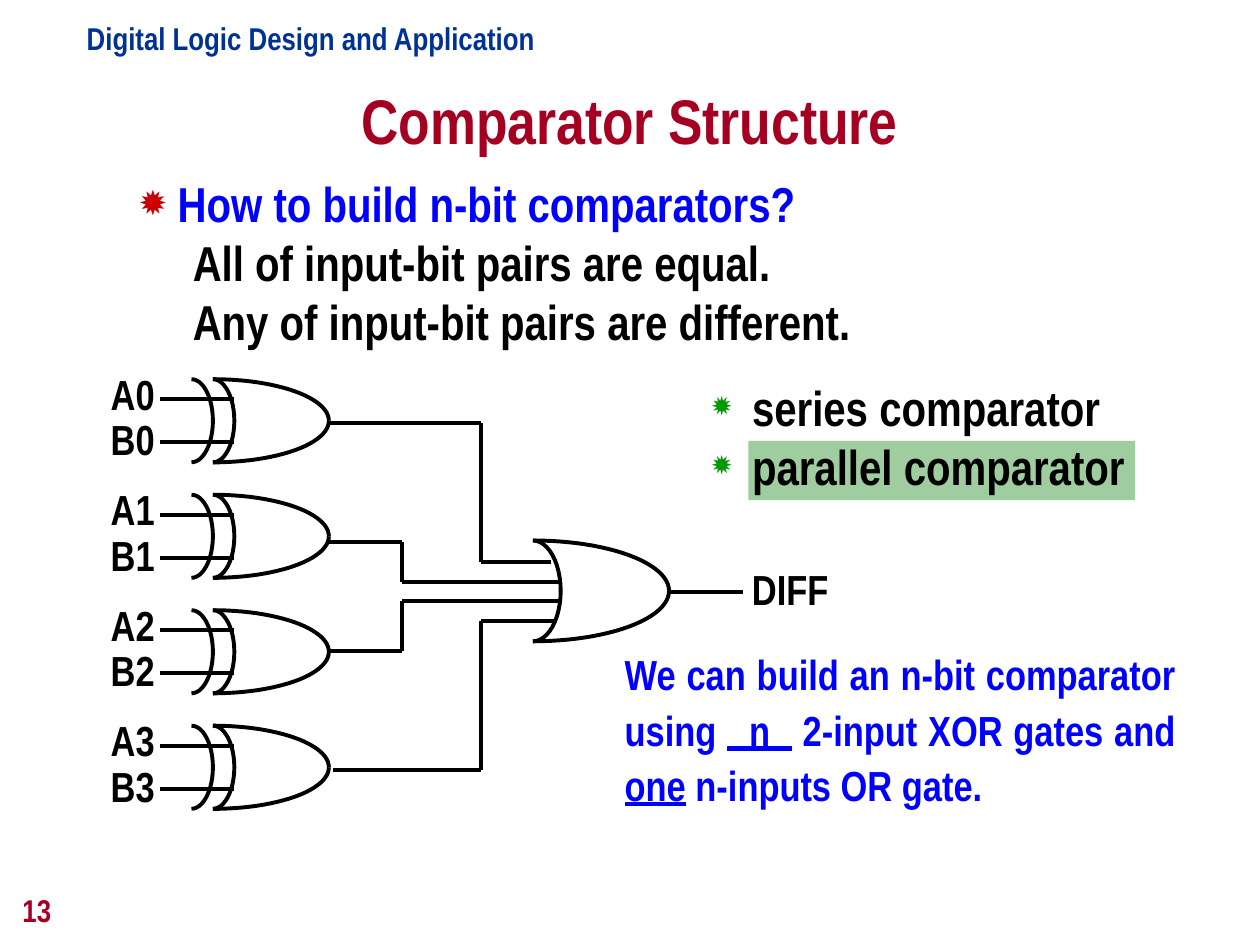
"""Build the slide that explains the structure of an n-bit parallel comparator."""
from dataclasses import dataclass
from itertools import pairwise
from math import cos, pi, sin
from typing import NamedTuple

from lxml.etree import SubElement
from pptx import Presentation
from pptx.dml.color import RGBColor
from pptx.enum.shapes import MSO_CONNECTOR as Connector, MSO_SHAPE as Preset
from pptx.enum.text import MSO_ANCHOR as Anchor, MSO_AUTO_SIZE as AutoSize, PP_ALIGN as Align
from pptx.oxml.ns import qn
from pptx.util import Inches, Pt


@dataclass(frozen=True)
class Theme:
    font: str = "Arial Narrow"
    navy: str = "003296"
    crimson: str = "A50021"
    blue: str = "0000FF"
    black: str = "000000"
    red: str = "CC0000"
    green: str = "009900"
    highlight: str = "9FCD9F"
    title_size: int = 36
    list_size: int = 28
    label_size: int = 24
    small_size: int = 18
    line_width: float = 2.25


class Box(NamedTuple):
    left: float
    top: float
    width: float
    height: float

    def lengths(self) -> list:
        """Return the four lengths of the box."""
        return [Inches(value) for value in self]


class Point(NamedTuple):
    x: float
    y: float


class Gate(NamedTuple):
    left: float
    middle: float
    width: float
    half_height: float
    back_depth: float


class Run(NamedTuple):
    text: str
    underline: bool = False


class TextItem(NamedTuple):
    text: str
    color: str
    margin: float
    hanging: float = 0
    bullet_color: str = ""


THEME = Theme()
GATE_PITCH = 2.75 / 3
FIRST_GATE = Gate(left=1.69, middle=3.34, width=0.92, half_height=0.33, back_depth=0.17)
OR_GATE = Gate(left=4.23, middle=4.69, width=1.08, half_height=0.4, back_depth=0.22)
INPUT_START = 1.27
ROUTES = [
    [Point(2.61, 3.36), Point(3.82, 3.36), Point(3.82, 4.46), Point(4.37, 4.46)],
    [Point(2.61, 4.3), Point(3.19, 4.3), Point(3.19, 4.62), Point(4.45, 4.62)],
    [Point(2.61, 5.17), Point(3.19, 5.17), Point(3.19, 4.77), Point(4.45, 4.77)],
    [Point(2.64, 6.11), Point(3.82, 6.11), Point(3.82, 4.93), Point(4.4, 4.93)],
    [Point(5.31, 4.7), Point(5.9, 4.7)],
]
QUESTION_ITEMS = [
    TextItem("How to build n-bit comparators?", THEME.blue, 0.81, -0.31, THEME.red),
    TextItem("All of input-bit pairs are equal.", THEME.black, 0.93),
    TextItem("Any of input-bit pairs are different.", THEME.black, 0.93),
]
KIND_ITEMS = [
    TextItem(f"{kind} comparator", THEME.black, 0.32, -0.32, THEME.green)
    for kind in ("series", "parallel")
]
SUMMARY_RUNS = [
    Run("We can build an n-bit comparator using "),
    Run("  n  ", True),
    Run(" 2-input XOR gates and "),
    Run("one", True),
    Run(" n-inputs OR gate."),
]


def format_font(paragraph, size: int, color: str) -> None:
    """Give a paragraph the bold theme font in one size and colour."""
    font = paragraph.font
    font.name, font.size, font.bold = THEME.font, Pt(size), True
    font.color.rgb = RGBColor.from_string(color)


def place(shape, box: Box) -> None:
    """Move a placeholder to a box."""
    shape.left, shape.top, shape.width, shape.height = box.lengths()


def add_text(slide, box: Box, lines: list[str], size: int, color: str, spacing: float = 1.0):
    """Add an unwrapped text box with one paragraph per line."""
    shape = slide.shapes.add_textbox(*box.lengths())
    frame = shape.text_frame
    frame.word_wrap, frame.auto_size = False, AutoSize.SHAPE_TO_FIT_TEXT
    frame.text = "\n".join(lines)
    for paragraph in frame.paragraphs:
        paragraph.line_spacing = spacing
        format_font(paragraph, size, color)
    return shape


def fill_list(frame, items: list[TextItem]) -> None:
    """Write list items with indents and bullets, sizing runs so that bullets scale with them."""
    frame.text = "\n".join(item.text for item in items)
    for paragraph, item in zip(frame.paragraphs, items):
        paragraph.space_before = Pt(0)
        properties = paragraph._p.get_or_add_pPr()
        properties.set("marL", str(Inches(item.margin)))
        properties.set("indent", str(Inches(item.hanging)))
        if item.bullet_color:
            color = SubElement(properties, qn("a:buClr"))
            SubElement(color, qn("a:srgbClr"), val=item.bullet_color)
            SubElement(properties, qn("a:buSzPct"), val="70000")
            SubElement(properties, qn("a:buChar"), char="✹")
        else:
            SubElement(properties, qn("a:buNone"))
        format_font(paragraph, THEME.list_size, item.color)
        paragraph.runs[0].font.size = Pt(THEME.list_size)


def format_line(shape) -> None:
    """Draw a shape's line in the wire style."""
    shape.line.color.rgb = RGBColor.from_string(THEME.black)
    shape.line.width = Pt(THEME.line_width)


def add_arc(slide, center: Point, radius_x: float, radius_y: float, start: float, end: float) -> None:
    """Add an open elliptical arc between two angles."""
    steps = 24
    angles = [start + (end - start) * step / steps for step in range(steps + 1)]
    points = [
        (Inches(center.x + radius_x * cos(angle)), Inches(center.y + radius_y * sin(angle)))
        for angle in angles
    ]
    builder = slide.shapes.build_freeform(*points[0], scale=1.0)
    builder.add_line_segments(points[1:], close=False)
    shape = builder.convert_to_shape()
    shape.shadow.inherit = False
    shape.fill.background()
    format_line(shape)


def add_gate(slide, gate: Gate, exclusive: bool = False) -> None:
    """Add an OR gate, with a second back curve when it is exclusive."""
    center = Point(gate.left, gate.middle)
    add_arc(slide, center, gate.back_depth, gate.half_height, -pi / 2, pi / 2)
    for start in (-pi / 2, pi / 2):
        add_arc(slide, center, gate.width, gate.half_height, start, 0)
    if exclusive:
        outer = Point(gate.left - gate.back_depth, gate.middle)
        add_arc(slide, outer, gate.back_depth, gate.half_height, -pi / 2, pi / 2)


def add_route(slide, points: list[Point]) -> None:
    """Join consecutive points with straight wires."""
    for start, end in pairwise(points):
        ends = [Inches(value) for value in (*start, *end)]
        wire = slide.shapes.add_connector(Connector.STRAIGHT, *ends)
        format_line(wire)
        SubElement(wire._element.spPr, qn("a:effectLst"))


def add_bit_stage(slide, index: int) -> None:
    """Add the XOR gate, inputs and labels of one bit."""
    gate = FIRST_GATE._replace(middle=FIRST_GATE.middle + index * GATE_PITCH)
    add_gate(slide, gate, exclusive=True)
    for offset in (-0.17, 0.17):
        y = gate.middle + offset
        add_route(slide, [Point(INPUT_START, y), Point(gate.left + gate.back_depth, y)])
    box = Box(0.78, gate.middle - 0.42, 0.55, 0.82)
    add_text(slide, box, [f"A{index}", f"B{index}"], THEME.label_size, THEME.black, 0.9)


def add_summary(slide) -> None:
    """Add the justified conclusion with its underlined answers."""
    frame = slide.shapes.add_textbox(*Box(4.86, 5.06, 4.57, 1.42).lengths()).text_frame
    frame.word_wrap = True
    paragraph = frame.paragraphs[0]
    paragraph.alignment, paragraph.line_spacing = Align.JUSTIFY, 1.1
    format_font(paragraph, THEME.label_size, THEME.blue)
    for part in SUMMARY_RUNS:
        run = paragraph.add_run()
        run.text = part.text
        if part.underline:
            run.font.underline = True


def add_headings(slide) -> None:
    """Fill the title and body and add the header and page number."""
    title, body = slide.placeholders
    place(title, Box(0, 0.6, 10, 0.79))
    title.text_frame.text = "Comparator Structure"
    title.text_frame.vertical_anchor = Anchor.TOP
    format_font(title.text_frame.paragraphs[0], THEME.title_size, THEME.crimson)
    place(body, Box(0.5, 1.33, 9, 2.02))
    fill_list(body.text_frame, QUESTION_ITEMS)
    for shape in (title, body):
        shape.text_frame.auto_size = AutoSize.NONE
    header = Box(0.59, 0.1, 3.76, 0.4)
    add_text(slide, header, ["Digital Logic Design and Application"], THEME.small_size, THEME.navy)
    number = add_text(slide, Box(0.08, 6.92, 2.08, 0.5), ["13"], THEME.small_size, THEME.crimson)
    frame = number.text_frame
    frame.word_wrap, frame.auto_size, frame.vertical_anchor = True, AutoSize.NONE, Anchor.BOTTOM


def add_kinds(slide) -> None:
    """Add the two comparator kinds with the second one highlighted."""
    highlight = slide.shapes.add_shape(Preset.RECTANGLE, *Box(5.94, 3.5, 3.07, 0.47).lengths())
    highlight.shadow.inherit = False
    highlight.fill.solid()
    highlight.fill.fore_color.rgb = RGBColor.from_string(THEME.highlight)
    highlight.line.fill.background()
    kinds = add_text(slide, Box(5.55, 2.95, 3.49, 1.04), [], THEME.list_size, THEME.black)
    fill_list(kinds.text_frame, KIND_ITEMS)


def main() -> None:
    """Build and save the presentation."""
    presentation = Presentation()
    presentation.slide_width, presentation.slide_height = Inches(10), Inches(7.5)
    slide = presentation.slides.add_slide(presentation.slide_layouts[1])
    add_headings(slide)
    add_kinds(slide)
    add_summary(slide)
    for index in range(4):
        add_bit_stage(slide, index)
    add_gate(slide, OR_GATE)
    for route in ROUTES:
        add_route(slide, route)
    add_text(slide, Box(5.87, 4.42, 0.9, 0.5), ["DIFF"], THEME.label_size, THEME.black)
    presentation.save("out.pptx")


if __name__ == "__main__":
    main()
